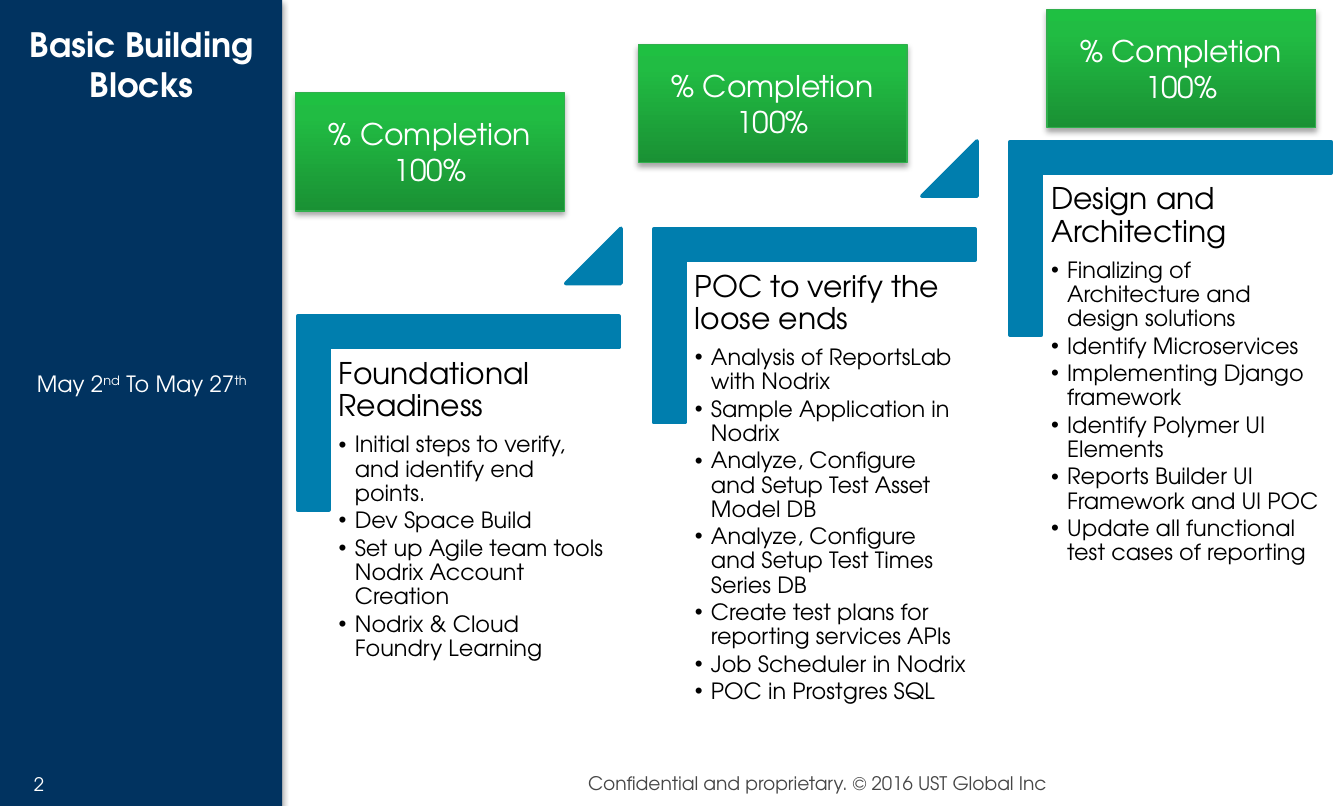
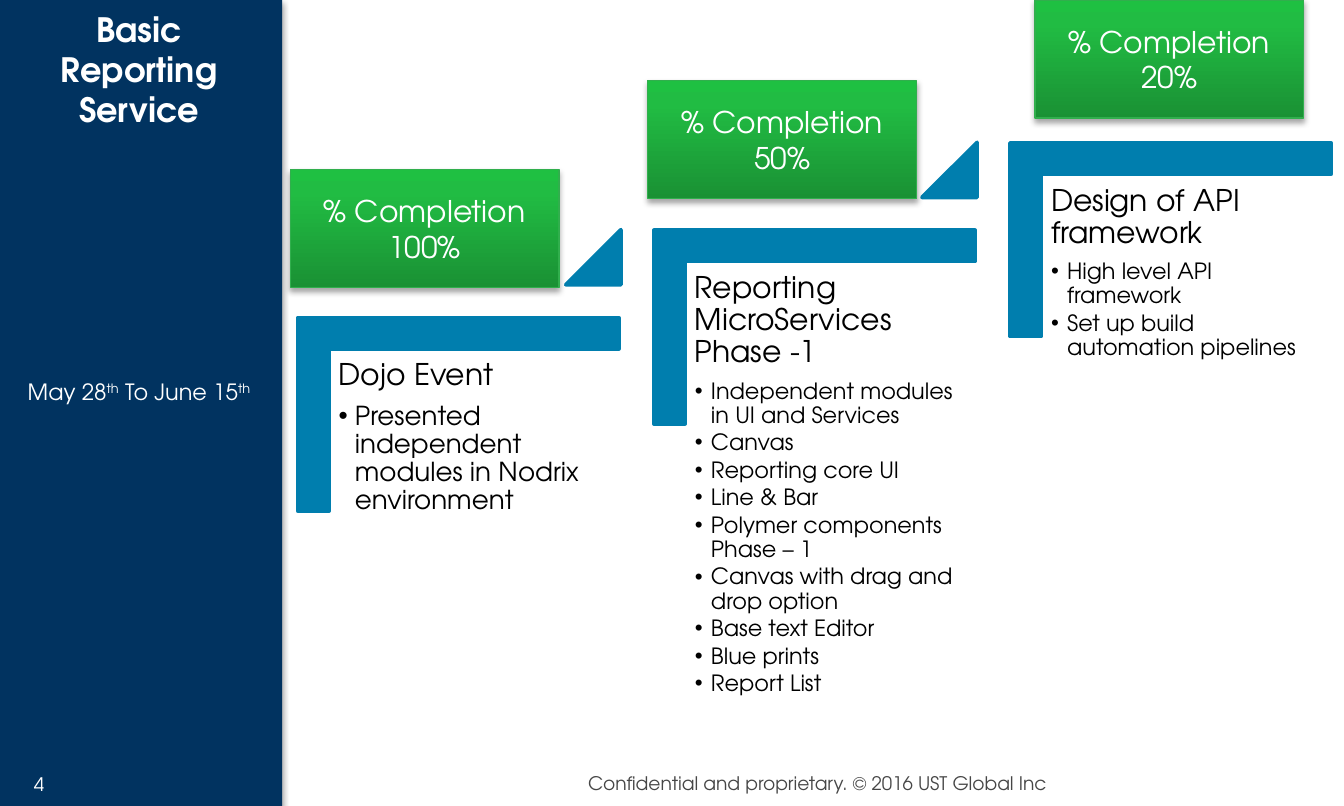
from dataclasses import dataclass

from lxml import etree
from pptx import Presentation
from pptx.dml.color import RGBColor
from pptx.enum.shapes import MSO_SHAPE
from pptx.enum.text import MSO_ANCHOR, MSO_AUTO_SIZE, PP_ALIGN
from pptx.oxml.ns import qn
from pptx.util import Inches, Pt

RECT, CORNER, WEDGE = MSO_SHAPE.RECTANGLE, MSO_SHAPE.CORNER, MSO_SHAPE.ISOSCELES_TRIANGLE
TOP, MIDDLE = MSO_ANCHOR.TOP, MSO_ANCHOR.MIDDLE
LEFT, CENTER = PP_ALIGN.LEFT, PP_ALIGN.CENTER
NO_FIT = MSO_AUTO_SIZE.NONE

FACE = "TeX Gyre Adventor"
NAVY, BLUE, WHITE, BLACK, GRAY = "013360", "007EAE", "FFFFFF", "000000", "464646"
EDGE = "31AF4D"
GREENS = ((0, "1A9134"), (80, "21BC43"), (100, "1FC042"))
FOOTER = "Confidential and proprietary. © 2016 UST Global Inc"

LAYOUT = 4  # title and four body placeholders
DATE_ID, LIST_IDS = 1, (2, 3, 4)
STEP_X, STEP_Y = 2.65, -0.65
BAR = 0.161

Box = tuple[float, float, float, float]


@dataclass
class Step:
    head: str
    items: list[str]
    done: str
    badge: tuple[float, float]
    size: int = 12


@dataclass
class Page:
    number: str
    title: str
    title_box: Box
    date: list[str]
    date_box: Box
    start: tuple[float, float]
    steps: list[Step]


PAGES = [
    Page("2", "Basic Building Blocks", (0.02, 0.01, 2.07, 0.93),
         ["May 2", "nd", " To May 27", "th"], (0.02, 1.76, 2.07, 2.19), (2.69, 1.88), [
        Step("Foundational Readiness", [
            "Initial steps to verify, and identify end points.",
            "Dev Space Build",
            "Set up Agile team tools Nodrix Account Creation",
            "Nodrix & Cloud Foundry Learning",
        ], "100%", (2.2, 0.69)),
        Step("POC to verify the loose ends", [
            "Analysis of ReportsLab with Nodrix",
            "Sample Application in Nodrix",
            "Analyze, Configure and Setup Test Asset Model DB",
            "Analyze, Configure and Setup Test Times Series DB",
            "Create test plans for reporting services APIs",
            "Job Scheduler in Nodrix",
            "POC in Prostgres SQL",
        ], "100%", (4.75, 0.33)),
        Step("Design and Architecting", [
            "Finalizing of Architecture and design solutions",
            "Identify Microservices",
            "Implementing Django framework",
            "Identify Polymer UI Elements",
            "Reports Builder UI Framework and UI POC",
            "Update all functional test cases of reporting",
        ], "100%", (7.79, 0.07)),
    ]),
    Page("4", "Basic Reporting Service", (0, 0, 2.07, 1.03),
         ["May 28", "th", " To June 15", "th"], (0, 1.82, 2.07, 2.19), (2.69, 1.89), [
        Step("Dojo Event", [
            "Presented independent modules in Nodrix environment",
        ], "100%", (2.16, 1.26), 14),
        Step("Reporting MicroServices Phase -1", [
            "Independent modules in UI and Services",
            "Canvas",
            "Reporting core UI",
            "Line & Bar",
            "Polymer components Phase – 1",
            "Canvas with drag and drop option",
            "Base text Editor",
            "Blue prints",
            "Report List",
        ], "50%", (4.82, 0.6)),
        Step("Design of API framework", [
            "High level API framework",
            "Set up build automation pipelines",
        ], "20%", (7.7, 0)),
    ]),
]


def color(code: str) -> RGBColor:
    return RGBColor.from_string(code)


def apply(target, **values) -> None:
    for name, value in values.items():
        setattr(target, name, value)


def place(shape, box: Box) -> None:
    apply(shape, **dict(zip(("left", "top", "width", "height"), map(Inches, box))))


def frame(shape, anchor=MIDDLE, pad: tuple[float, float] = (0.1, 0.05), wrap: bool = True):
    """Set up the text frame; pad is the side and the top/bottom margin."""
    side, edge = map(Inches, pad)
    apply(shape.text_frame, auto_size=NO_FIT, word_wrap=wrap, vertical_anchor=anchor,
          margin_left=side, margin_right=side, margin_top=edge, margin_bottom=edge)
    return shape.text_frame


def add_run(par, text: str, size: int, code: str, bold: bool = False):
    run = par.add_run()
    run.text = text
    apply(run.font, name=FACE, size=Pt(size), bold=bold)
    run.font.color.rgb = color(code)
    return run


def add_par(text, first: bool, align=CENTER, after: float = 0, spacing: float = 1.0,
            bullet: bool = False):
    par = text.paragraphs[0] if first else text.add_paragraph()
    apply(par, alignment=align, level=int(bullet), line_spacing=spacing,
          space_before=Pt(0), space_after=Pt(after))
    props = par._p.get_or_add_pPr()
    indent = Inches(0.12) if bullet else 0
    props.set("marL", str(indent))
    props.set("indent", str(-indent))
    if bullet:
        etree.SubElement(props, qn("a:buChar"), char="•")
    else:
        etree.SubElement(props, qn("a:buNone"))
    return par


def add_box(slide, kind, box: Box, fill: str = "", line: str = "", weight: float = 0):
    shape = slide.shapes.add_shape(kind, *map(Inches, box))
    shape.shadow.inherit = False
    if fill:
        shape.fill.solid()
        shape.fill.fore_color.rgb = color(fill)
    if line:
        shape.line.color.rgb = color(line)
        shape.line.width = Pt(weight)
    else:
        shape.line.fill.background()
    return shape


def add_label(slide, box: Box, text: str, code: str, **layout) -> None:
    shape = slide.shapes.add_textbox(*map(Inches, box))
    add_run(add_par(frame(shape, **layout), True), text, 10, code)
    return shape


def cast(shape) -> None:
    """Add the soft shadow below a shape."""
    effects = next(shape.element.iter(qn("a:effectLst")))
    shadow = etree.SubElement(effects, qn("a:outerShdw"), blurRad="40000",
                              dist="23000", dir="5400000", rotWithShape="0")
    tint = etree.SubElement(shadow, qn("a:srgbClr"), val=BLACK)
    etree.SubElement(tint, qn("a:alpha"), val="35000")


def shade(shape) -> None:
    """Fill a shape with greens, dark at the bottom."""
    shape.fill.gradient()
    shape.fill.gradient_angle = 90
    stops = next(shape.element.iter(qn("a:gsLst")))
    for stop in list(stops):
        stops.remove(stop)
    for at, code in GREENS:
        stop = etree.SubElement(stops, qn("a:gs"), pos=str(at * 1000))
        etree.SubElement(stop, qn("a:srgbClr"), val=code)


def add_frame(slide, layout) -> None:
    """Put the side band and footer on the layout, by way of a slide."""
    band = add_box(slide, RECT, (0, 0, 2.1, 6), NAVY)
    cast(band)
    footer = add_label(slide, (4.24, 5.7, 3.68, 0.27), FOOTER, GRAY, anchor=TOP, wrap=False)
    for at, shape in enumerate((band, footer), 2):
        layout.shapes.element.insert(at, shape.element)


def add_badge(slide, step: Step) -> None:
    badge = add_box(slide, RECT, (*step.badge, 2, 0.88), line=EDGE, weight=0.75)
    shade(badge)
    cast(badge)
    text = frame(badge)
    for at, line in enumerate(("% Completion", step.done)):
        add_run(add_par(text, at == 0), line, 16, WHITE)


def add_step(slide, step: Step, body, x: float, y: float, last: bool) -> None:
    corner = add_box(slide, CORNER, (x, y, 1.44, 2.39), BLUE, BLUE, 2)
    corner.rotation = 90
    corner.adjustments[0] = corner.adjustments[1] = BAR
    place(body, (x - 0.24, y + 0.72, 2.16, 1.89))
    text = frame(body, TOP, (0.07, 0.07))
    head = add_par(text, True, LEFT, 5.6, 0.9)
    add_run(head, step.head, 16, BLACK)
    for item in step.items:
        par = add_par(text, False, LEFT, 0.15 * step.size, 0.9, True)
        add_run(par, item, step.size, BLACK)
    if not last:
        wedge = add_box(slide, WEDGE, (x + 1.52, y - 0.18, 0.41, 0.41), BLUE, BLUE, 2)
        wedge.adjustments[0] = 1


def add_page(slide, page: Page) -> None:
    title = slide.shapes.title
    place(title, page.title_box)
    add_run(add_par(frame(title), True), page.title, 18, WHITE, True)
    add_label(slide, (0.1, 5.76, 0.38, 0.16), page.number, WHITE, pad=(0, 0))

    bodies = {item.placeholder_format.idx: item for item in slide.placeholders}
    date = bodies[DATE_ID]
    place(date, page.date_box)
    par = add_par(frame(date), True)
    for at, part in enumerate(page.date):
        run = add_run(par, part, 12, WHITE)
        if at % 2:
            run.font._element.set("baseline", "30000")

    left, top = page.start
    final = len(page.steps) - 1
    for at, step in enumerate(page.steps):
        add_step(slide, step, bodies[LIST_IDS[at]],
                 left + at * STEP_X, top + at * STEP_Y, at == final)
    for step in page.steps:
        add_badge(slide, step)


def main() -> None:
    deck = Presentation()
    apply(deck, slide_width=Inches(10), slide_height=Inches(6))
    layout = deck.slide_layouts[LAYOUT]
    slides = [deck.slides.add_slide(layout) for _ in PAGES]
    add_frame(slides[0], layout)
    for slide, page in zip(slides, PAGES):
        add_page(slide, page)
    deck.save("out.pptx")


if __name__ == "__main__":
    main()
